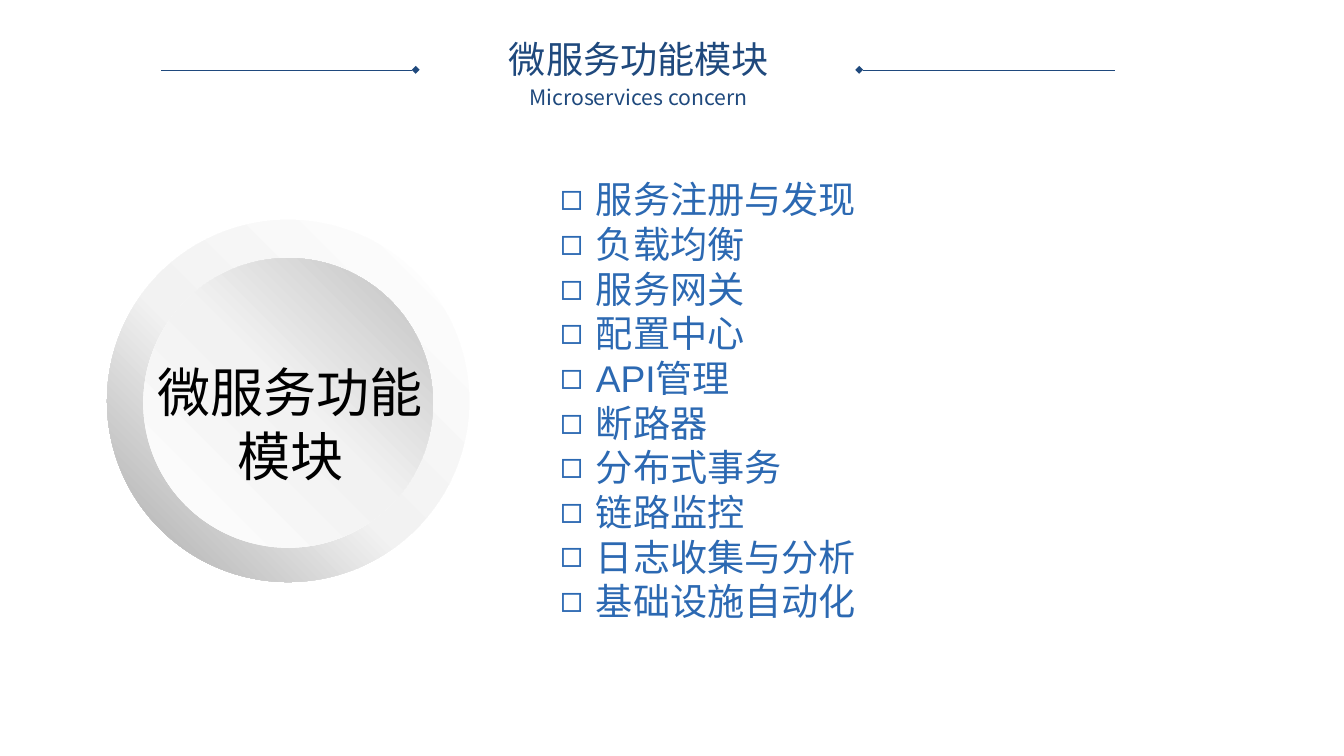
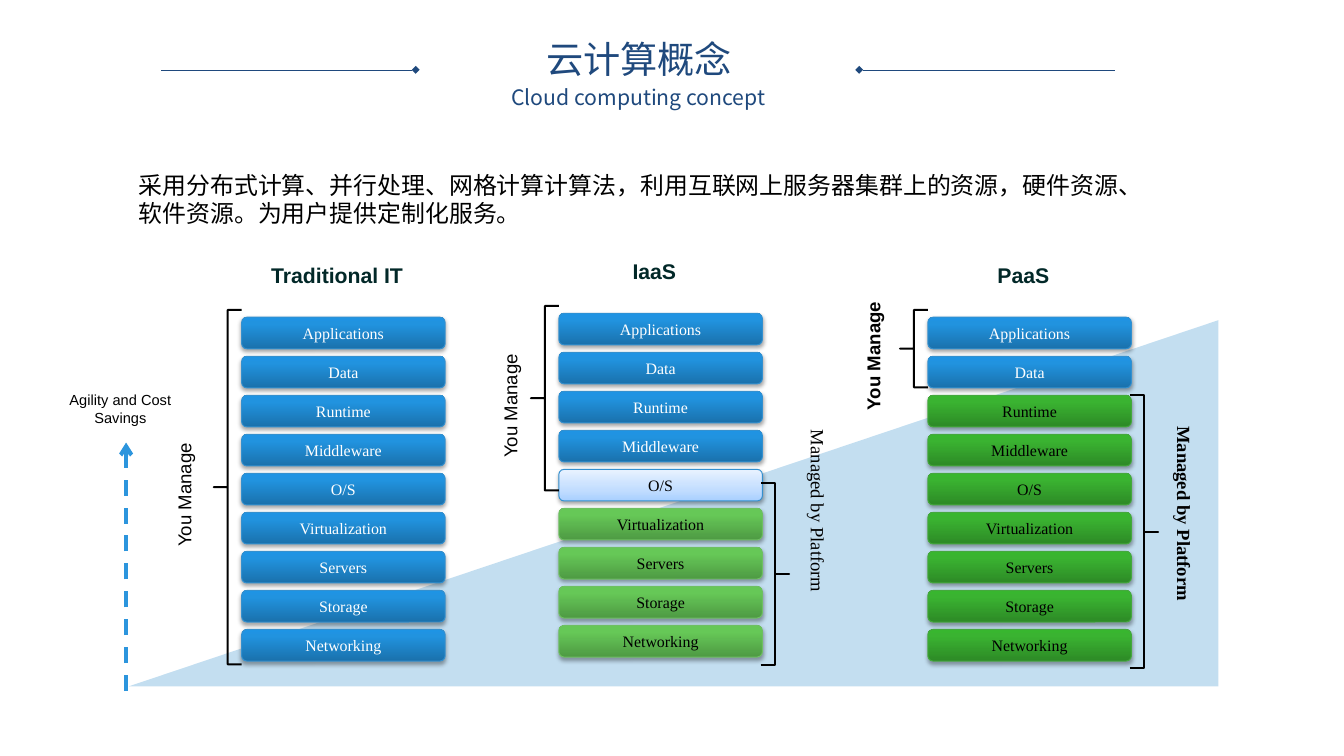
from lxml.etree import SubElement
from pptx import Presentation
from pptx.dml.color import RGBColor
from pptx.enum.dml import MSO_LINE
from pptx.enum.shapes import MSO_CONNECTOR, MSO_SHAPE
from pptx.enum.text import MSO_ANCHOR, MSO_AUTO_SIZE, PP_ALIGN
from pptx.oxml.ns import qn
from pptx.util import Pt

# Shared look
NAVY, BLACK, WHITE = "1F497D", "000000", "FFFFFF"
SERIF, SANS = "Times New Roman", "Arial"

# Block styles: gradient stops, line colour, font colour
BLUE = ([(0, "1A71AC"), (80, "2193DF"), (100, "1E94E4")], "3490CF", WHITE)
GREEN = ([(0, "2D8A26"), (80, "3AB331"), (100, "38B62F")], "45A83E", BLACK)
LIME = ([(0, "4E9A43"), (80, "66C857"), (100, "65CB55")], "6FBF63", BLACK)
PALE = ([(0, "A9D0FF"), (35, "C2DDFF"), (100, "E8F2FF")], "3490CF", BLACK)

LAYERS = ["Applications", "Data", "Runtime", "Middleware", "O/S",
          "Virtualization", "Servers", "Storage", "Networking"]
STEP = 29.4

MODULES = ["服务注册与发现", "负载均衡", "服务网关", "配置中心", "API管理",
           "断路器", "分布式事务", "链路监控", "日志收集与分析", "基础设施自动化"]


def rgb(code):
    return RGBColor.from_string(code)


def place(shape, box):
    shape.left, shape.top, shape.width, shape.height = map(Pt, box)


def style(shape, size, font, color, align=PP_ALIGN.LEFT, bold=False):
    for para in shape.text_frame.paragraphs:
        para.alignment = align
        for run in para.runs:
            run.font.size, run.font.name = Pt(size), font
            run.font.bold = bold
            run.font.color.rgb = rgb(color)


def label(slide, box, text, size, font, color, align=PP_ALIGN.LEFT,
          bold=False, turn=None, wrap=True):
    shape = slide.shapes.add_textbox(*map(Pt, box))
    frame = shape.text_frame
    frame.text, frame.word_wrap = text, wrap
    if turn:
        frame._txBody.bodyPr.set("vert", turn)
    style(shape, size, font, color, align, bold)
    return shape


def shade(shape, stops, angle):
    shape.fill.gradient()
    grad = shape.element.spPr.find(qn("a:gradFill"))
    grad.find(qn("a:lin")).set("ang", str(angle * 60000))
    items = grad.find(qn("a:gsLst"))
    for old in list(items):
        items.remove(old)
    for pos, code in stops:
        stop = SubElement(items, qn("a:gs"), pos=str(pos * 1000))
        SubElement(stop, qn("a:srgbClr"), val=code)


def form(slide, kind, box, flip=False):
    shape = slide.shapes.add_shape(kind, *map(Pt, box))
    shape.shadow.inherit = False
    shape.line.fill.background()
    if flip:
        shape.element.spPr.find(qn("a:xfrm")).set("flipH", "1")
    return shape


def disc(slide, box, stops, angle):
    shade(form(slide, MSO_SHAPE.OVAL, box), stops, angle)


def block(slide, box, text, look):
    stops, edge, color = look
    shape = form(slide, MSO_SHAPE.ROUNDED_RECTANGLE, box)
    shade(shape, stops, 270)
    shape.line.color.rgb, shape.line.width = rgb(edge), Pt(0.75)
    # Soft shadow straight below
    glow = shape.element.spPr.find(qn("a:effectLst"))
    cast = SubElement(glow, qn("a:outerShdw"), blurRad=str(Pt(3.1)),
                      dist=str(Pt(1.8)), dir="5400000", rotWithShape="0")
    tint = SubElement(cast, qn("a:srgbClr"), val=BLACK)
    SubElement(tint, qn("a:alpha"), val="35000")
    frame = shape.text_frame
    frame.text, frame.vertical_anchor = text, MSO_ANCHOR.MIDDLE
    frame.margin_top = frame.margin_bottom = 0
    style(shape, 12, SERIF, color, PP_ALIGN.CENTER)


def brace(slide, box, flip=False):
    shape = form(slide, MSO_SHAPE.LEFT_BRACE, box, flip)
    shape.adjustments[0], shape.adjustments[1] = 0, 0.5
    shape.fill.background()
    shape.line.color.rgb, shape.line.width = rgb(BLACK), Pt(1.5)


def line(slide, start, end, color, width, cap, mark):
    rule = slide.shapes.add_connector(
        MSO_CONNECTOR.STRAIGHT, *map(Pt, start + end))
    rule.line.color.rgb, rule.line.width = rgb(color), Pt(width)
    SubElement(rule.line._get_or_add_ln(), qn("a:" + cap), type=mark)
    SubElement(rule.element.spPr, qn("a:effectLst"))
    return rule


def header(slide, title, sub):
    head = slide.shapes.title
    place(head, (260.6, 29.5, 441.4, 33.8))
    head.text_frame.text = title
    style(head, 28, SANS, NAVY, PP_ALIGN.CENTER)
    note = label(slide, (295.2, 57.6, 371.5, 33.8), sub, 16,
                 "Noto Sans CJK SC", NAVY, PP_ALIGN.CENTER)
    for shape in (head, note):
        frame = shape.text_frame
        frame.auto_size = MSO_AUTO_SIZE.NONE
        frame.vertical_anchor = MSO_ANCHOR.MIDDLE
        frame.paragraphs[0].line_spacing = 0.9
        frame.paragraphs[0].space_before = Pt(10)
    for near, far in ((313.2, 121), (647.3, 840.2)):
        line(slide, (near, 52.6), (far, 52.6), NAVY, 0.25,
             "headEnd", "diamond")


def body(slide, box, items, size, font, color, bullet=None):
    shape = slide.placeholders[1]
    place(shape, box)
    frame = shape.text_frame
    frame.text = "\n".join(items)
    frame.auto_size = MSO_AUTO_SIZE.NONE
    style(shape, size, font, color)
    hang = Pt(27) if bullet else 0
    for para in frame.paragraphs:
        para.space_before = Pt(0)
        props = para._p.get_or_add_pPr()
        props.set("marL", str(hang))
        props.set("indent", str(-hang))
        if bullet:
            SubElement(props, qn("a:buChar"), char=bullet)
        else:
            SubElement(props, qn("a:buNone"))


def stack(slide, left, top, name, looks):
    label(slide, (left - 18, top - 45, 180, 26), name, 16, SANS,
          "022828", PP_ALIGN.CENTER, True)
    for row, (text, look) in enumerate(zip(LAYERS, looks)):
        block(slide, (left, top + row * STEP, 153.4, 23.8), text, look)


def yours(slide, left, top, tall, box, bold=False):
    brace(slide, (left - 21, top - 5.5, 21, tall))
    label(slide, box, "You Manage", 14, SANS, BLACK, bold=bold,
          turn="vert270")


def theirs(slide, left, top, tall, box, bold=False):
    brace(slide, (left + 152, top, 21.6, tall), True)
    label(slide, box, "Managed by Platform", 14, SERIF, BLACK, bold=bold,
          turn="eaVert")


def modules(slide):
    header(slide, "微服务功能模块", "Microservices concern")
    disc(slide, (80.6, 165.6, 272.9, 272.9),
         [(0, WHITE), (55, "F2F2F2"), (100, "A6A6A6")], 135)
    disc(slide, (108, 194.4, 218.2, 218.2),
         [(0, WHITE), (51, "F2F2F2"), (100, "BFBFBF")], 315)
    label(slide, (110.2, 267.1, 216.7, 104.4), "微服务功能\n模块", 40,
          "Calibri", BLACK, PP_ALIGN.CENTER, wrap=False)
    body(slide, (414.7, 129.6, 465.8, 346.3), MODULES, 28, SANS,
         "2C69B2", "◻")


def cloud(slide):
    header(slide, "云计算概念", "Cloud computing concept")
    body(slide, (97.2, 124.6, 785.5, 51.1),
         ["采用分布式计算、并行处理、网格计算计算法，利用互联网上服务器集群上的资源，"
          "硬件资源、软件资源。为用户提供定制化服务。"], 18, "Calibri", BLACK)

    # Rising wedge behind the stacks
    wedge = form(slide, MSO_SHAPE.RIGHT_TRIANGLE,
                 (97.2, 241.2, 820.8, 275.8), True)
    wedge.fill.solid()
    wedge.fill.fore_color.rgb = rgb("3993D0")
    tint = wedge.element.spPr.find(qn("a:solidFill"))[0]
    SubElement(tint, qn("a:alpha"), val="30000")

    # Service models
    stack(slide, 182, 239, "Traditional IT", [BLUE] * 9)
    yours(slide, 182, 239, 267, (126.7, 294.5, 41, 124.6))
    stack(slide, 421, 236, "IaaS", [BLUE] * 4 + [PALE] + [LIME] * 4)
    yours(slide, 421, 236, 139, (372.2, 227.5, 41, 124.6))
    theirs(slide, 421, 363.6, 137.5, (587.5, 316.8, 41, 224.6))
    stack(slide, 699, 239, "PaaS", [BLUE] * 2 + [GREEN] * 7)
    yours(slide, 699, 239, 58.3, (645.8, 186.5, 41, 129.6), True)
    theirs(slide, 699, 297.4, 206, (863.3, 313.9, 41, 236.2), True)

    # Savings arrow
    rise = line(slide, (95, 520.6), (95, 333.4), "2C95DD", 3,
                "tailEnd", "arrow")
    rise.line.dash_style = MSO_LINE.DASH
    gain = label(slide, (44.6, 293, 92.2, 62.6), "Agility and Cost Savings",
                 11, SANS, BLACK, PP_ALIGN.CENTER).text_frame
    gain.margin_left = gain.margin_right = Pt(3)
    gain.margin_top = gain.margin_bottom = Pt(1.5)


def main():
    deck = Presentation()
    deck.slide_width, deck.slide_height = Pt(1012.5), Pt(569.5)
    for build in (modules, cloud):
        build(deck.slides.add_slide(deck.slide_layouts[1]))
    deck.save("out.pptx")


if __name__ == "__main__":
    main()
